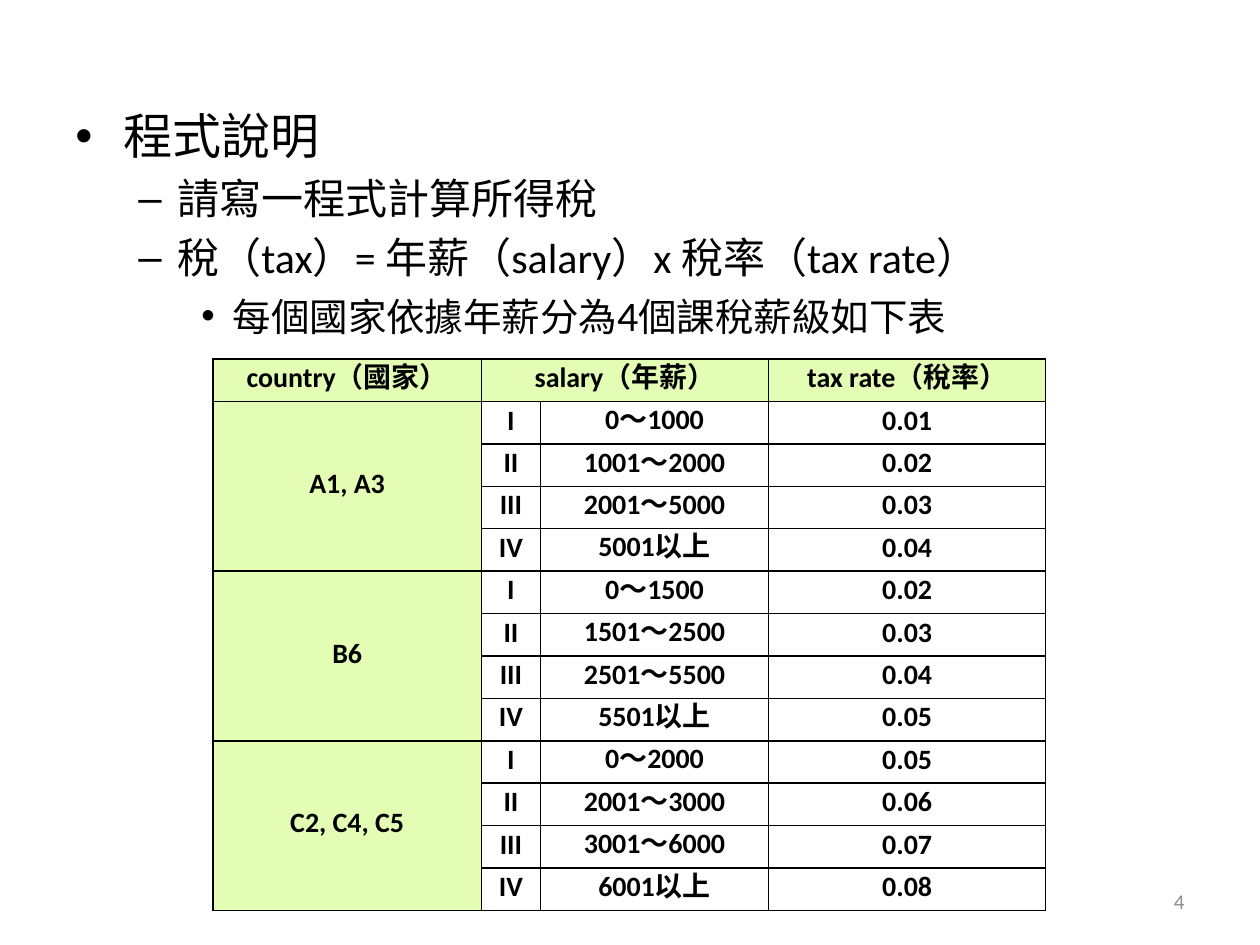
from lxml.etree import SubElement
from pptx import Presentation
from pptx.dml.color import RGBColor
from pptx.enum.text import MSO_ANCHOR, PP_ALIGN
from pptx.oxml.ns import qn
from pptx.util import Inches, Pt

BLACK = RGBColor(0x00, 0x00, 0x00)
GREEN = RGBColor(0xE3, 0xFD, 0xB5)
GRAY = RGBColor(0x8C, 0x8C, 0x8C)

# Level: bullet, left margin, hanging indent
LEVELS = [("•", 0.38, 0.38), ("–", 0.81, 0.31), ("•", 1.25, 0.25)]

# Level, size, runs of (text, font, size)
POINTS = [
    (0, 28, [("程式說明", "Calibri", 28)]),
    (1, 24, [("請寫一程式計算所得稅", "Calibri", 24)]),
    (1, 24, [("稅（tax）= 年薪（salary）x 稅率（tax rate）", "Calibri", 24)]),
    (2, 22, [("每個國家依據年薪分為", "Arial", 22), ("4", "Calibri", 24),
             ("個課稅薪級如下表", "Arial", 22)]),
]

WIDTHS = [2.13, 0.47, 1.81, 2.2]
GRADES = ["I", "II", "III", "IV"]
# Country, salary ranges, tax rates
RATES = [
    ("A1, A3", ["0～1000", "1001～2000", "2001～5000", "5001以上"],
     ["0.01", "0.02", "0.03", "0.04"]),
    ("B6", ["0～1500", "1501～2500", "2501～5500", "5501以上"],
     ["0.02", "0.03", "0.04", "0.05"]),
    ("C2, C4, C5", ["0～2000", "2001～3000", "3001～6000", "6001以上"],
     ["0.05", "0.06", "0.07", "0.08"]),
]


def set_font(font, name, size, color, bold=False):
    font.name, font.size, font.bold = name, Pt(size), bold
    font.color.rgb = color


def set_bullet(para, level):
    mark, left, hang = LEVELS[level]
    props = para._p.get_or_add_pPr()
    props.set("marL", str(Inches(left)))
    props.set("indent", str(-Inches(hang)))
    SubElement(props, qn("a:buFont"), typeface="Arial")
    SubElement(props, qn("a:buChar"), char=mark)


def add_points(slide, left, top, width, height):
    frame = slide.shapes.add_textbox(left, top, width, height).text_frame
    frame.word_wrap = True
    for row, (level, size, runs) in enumerate(POINTS):
        para = frame.add_paragraph() if row else frame.paragraphs[0]
        para.level = level
        para.space_before = Pt(size * 0.2)
        set_bullet(para, level)
        for text, name, points in runs:
            run = para.add_run()
            run.text = text
            set_font(run.font, name, points, BLACK)


def add_borders(cell):
    props = cell._tc.get_or_add_tcPr()
    for spot, side in enumerate(("lnL", "lnR", "lnT", "lnB")):
        line = props.makeelement(qn(f"a:{side}"), {"w": str(Pt(1))})
        fill = SubElement(line, qn("a:solidFill"))
        SubElement(fill, qn("a:srgbClr"), val=str(BLACK))
        props.insert(spot, line)


def fill_cell(cell, text, color=None):
    cell.vertical_anchor = MSO_ANCHOR.MIDDLE
    para = cell.text_frame.paragraphs[0]
    para.text = text
    para.alignment = PP_ALIGN.CENTER
    para.line_spacing = Pt(17)
    set_font(para.font, "Calibri", 16, BLACK, True)
    if color is None:
        cell.fill.background()
    else:
        cell.fill.solid()
        cell.fill.fore_color.rgb = color


def add_rates(slide, left, top, width, height):
    count = 1 + len(RATES) * len(GRADES)
    table = slide.shapes.add_table(count, len(WIDTHS), left, top, width, height).table
    table.first_row = table.horz_banding = False
    for col, size in zip(table.columns, WIDTHS):
        col.width = Inches(size)
    for row in table.rows:
        row.height = height // count
    for cell in table.iter_cells():
        add_borders(cell)
        cell.fill.background()

    # Header row
    table.cell(0, 1).merge(table.cell(0, 2))
    for col, text in [(0, "country（國家）"), (1, "salary（年薪）"), (3, "tax rate（稅率）")]:
        fill_cell(table.cell(0, col), text, GREEN)

    # One block of grades for each country group
    for block, (country, ranges, rates) in enumerate(RATES):
        first = 1 + block * len(GRADES)
        table.cell(first, 0).merge(table.cell(first + len(GRADES) - 1, 0))
        fill_cell(table.cell(first, 0), country, GREEN)
        for row, texts in enumerate(zip(GRADES, ranges, rates), first):
            for col, text in enumerate(texts, 1):
                fill_cell(table.cell(row, col), text)


def add_number(slide, left, top, width, height):
    frame = slide.shapes.add_textbox(left, top, width, height).text_frame
    frame.word_wrap = True
    frame.vertical_anchor = MSO_ANCHOR.MIDDLE
    para = frame.paragraphs[0]
    para.text = "4"
    para.alignment = PP_ALIGN.RIGHT
    set_font(para.font, "Calibri", 12, GRAY)


def main():
    deck = Presentation()
    deck.slide_width, deck.slide_height = Inches(10), Inches(7.5)
    slide = deck.slides.add_slide(deck.slide_layouts[6])
    add_points(slide, Inches(0.5), Inches(0.79), Inches(9), Inches(6.19))
    add_rates(slide, Inches(1.69), Inches(2.85), Inches(6.61), Inches(4.37))
    add_number(slide, Inches(7.17), Inches(6.95), Inches(2.33), Inches(0.4))
    deck.save("out.pptx")


if __name__ == "__main__":
    main()
